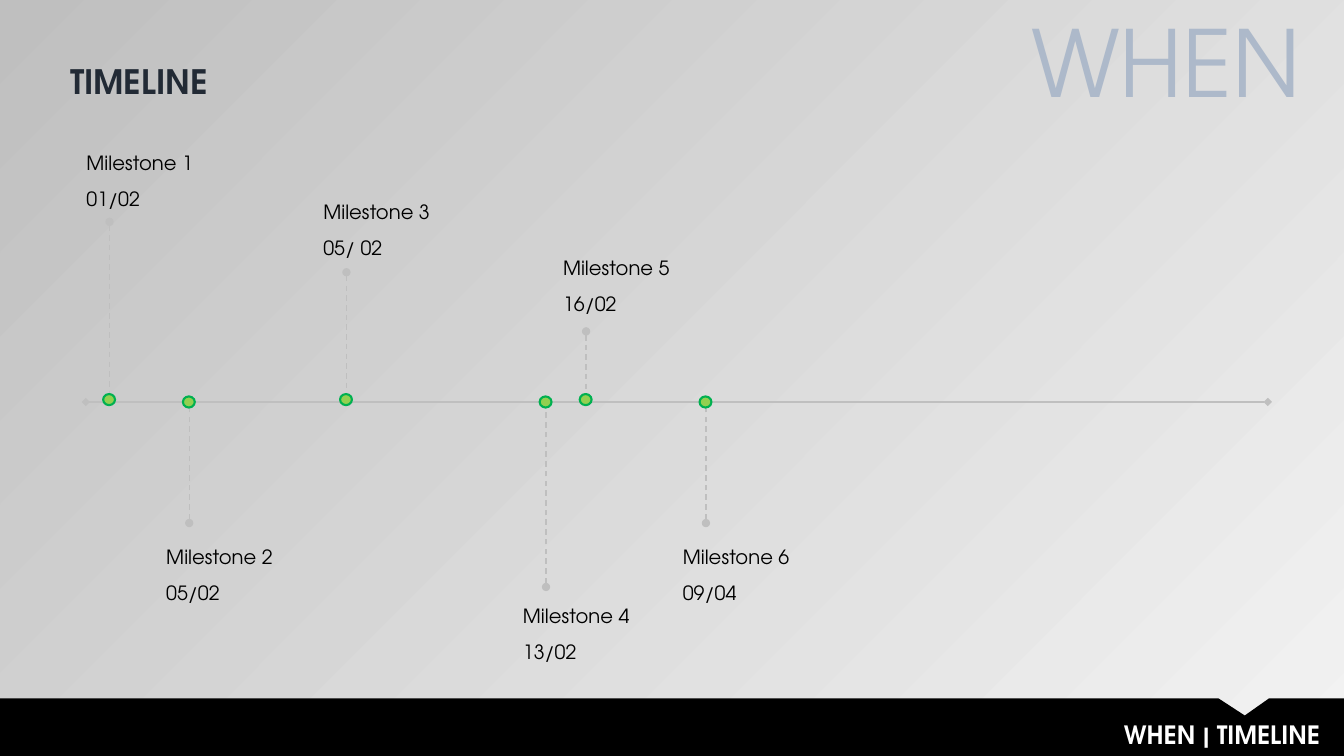
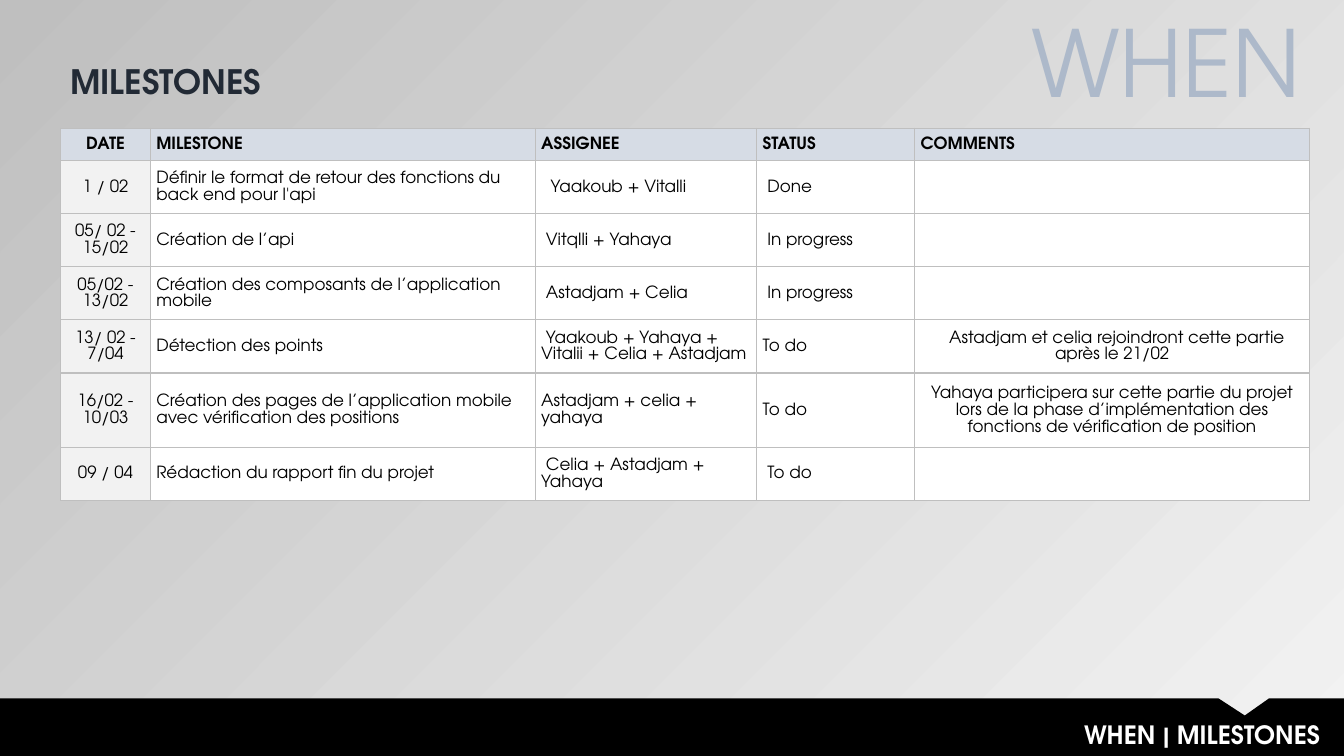
from dataclasses import dataclass

from lxml.etree import SubElement
from pptx import Presentation
from pptx.dml.color import RGBColor as Rgb
from pptx.enum.dml import MSO_LINE_DASH_STYLE as Dash
from pptx.enum.shapes import MSO_CONNECTOR_TYPE as Connector, MSO_SHAPE as Shape
from pptx.enum.text import MSO_ANCHOR as Anchor, MSO_AUTO_SIZE as AutoSize, PP_ALIGN as Align
from pptx.oxml.ns import qn
from pptx.util import Cm, Pt


@dataclass(frozen=True)
class Theme:
    font: str = "TeX Gyre Adventor"
    ink: str = "000000"
    paper: str = "FFFFFF"
    heading: str = "222A35"
    section: str = "ADB9CA"
    rule: str = "BFBFBF"
    pale: str = "F2F2F2"
    table_head: str = "D6DCE5"
    dot: str = "92D050"
    dot_edge: str = "00B050"
    section_size: int = 66
    title_size: int = 24
    footer_size: int = 18
    label_size: int = 14
    table_size: int = 12
    line_spacing: float = 1.07


@dataclass(frozen=True)
class Box:
    left: float
    top: float
    width: float
    height: float

    def frame(self):
        return Cm(self.left), Cm(self.top), Cm(self.width), Cm(self.height)


THEME = Theme()
SECTION = "WHEN"
PAGE_BOX = Box(0, 0, 33.87, 19.05)
FOOTER_BOX = Box(0, 17.6, 33.87, 1.45)
TITLE_BOX = Box(1.52, 1.4, 22.61, 1.27)
SECTION_BOX = Box(23.1, 0, 9.93, 3.05)
TIMELINE_BOX = Box(2.16, 3.63, 29.79, 13.03)
TABLE_BOX = Box(1.53, 3.23, 31.48, 9.38)

AXIS_OFFSET = 6.5
MILESTONES = [
    ("Milestone 1", "01/02", 0.6, 0, 1.96),
    ("Milestone 2", "05/02", 2.61, 9.93, 9.55),
    ("Milestone 3", "05/ 02", 6.57, 1.24, 3.23),
    ("Milestone 4", "13/02", 11.6, 11.42, 11.16),
    ("Milestone 5", "16/02", 12.61, 2.64, 4.72),
    ("Milestone 6", "09/04", 15.63, 9.93, 9.55),
]

COLUMN_WIDTHS = [2.26, 9.7, 5.58, 3.98, 9.96]
ROW_HEIGHTS = [0.81, 1.34, 1.34, 1.34, 1.34, 1.87, 1.34]
SPACE_WIDTH = 0.12
INDENTS = {(1, 2): 2, (1, 3): 1, (2, 2): 1, (2, 3): 1, (3, 2): 1, (3, 3): 1,
           (4, 2): 1, (4, 4): 2, (6, 2): 1, (6, 3): 1}
TABLE_ROWS = [
    ("DATE", "MILESTONE", "ASSIGNEE", "STATUS", "COMMENTS"),
    ("1 / 02", "Définir le format de retour des fonctions du back end pour l'api",
     "Yaakoub + Vitalli", "Done", ""),
    ("05/ 02 - 15/02", "Création de l’api", "Vitqlli + Yahaya", "In progress", ""),
    ("05/02 - 13/02", "Création des composants de l’application mobile",
     "Astadjam + Celia", "In progress", ""),
    ("13/ 02 - 7/04", "Détection des points",
     "Yaakoub + Yahaya + Vitalii + Celia + Astadjam", "To do",
     "Astadjam et celia rejoindront cette partie après le 21/02"),
    ("16/02 - 10/03",
     "Création des pages de l’application mobile avec vérification des positions",
     "Astadjam + celia + yahaya", "To do",
     "Yahaya participera sur cette partie du projet lors de la phase "
     "d’implémentation des fonctions de vérification de position"),
    ("09 / 04", "Rédaction du rapport fin du projet",
     "Celia + Astadjam + Yahaya", "To do", ""),
]


def set_formats(target, formats):
    for name, value in formats.items():
        setattr(target, name, value)


def color(value):
    return Rgb.from_string(value)


def paint(target, value):
    target.fill.solid()
    target.fill.fore_color.rgb = color(value)


def write(para, text, size, ink, bold=False, **formats):
    set_formats(para, formats)
    span = para.add_run()
    span.text = text
    set_formats(span.font, {"name": THEME.font, "size": Pt(size), "bold": bold})
    span.font.color.rgb = color(ink)


def set_frame(frame, anchor):
    set_formats(frame, {"word_wrap": True, "auto_size": AutoSize.NONE,
                        "vertical_anchor": anchor,
                        "margin_left": Cm(0.25), "margin_right": Cm(0.25),
                        "margin_top": Cm(0.13), "margin_bottom": Cm(0.13)})
    return frame


def add_text_box(page, box, anchor):
    return set_frame(page.shapes.add_textbox(*box.frame()).text_frame, anchor)


def add_footer(page, box, text):
    notch = [(30.71, 0), (31.37, 0.43), (31.98, 0)]
    outline = notch + [(box.width, 0), (box.width, box.height), (0, box.height)]
    builder = page.shapes.build_freeform(Cm(box.left), Cm(box.top))
    builder.add_line_segments(
        [(Cm(box.left + x), Cm(box.top + y)) for x, y in outline], close=True)
    band = builder.convert_to_shape()
    band.shadow.inherit = False
    paint(band, THEME.ink)
    band.line.fill.background()
    text_box = Box(box.left + 10.51, box.top + 0.4, 23.01, 1.02)
    frame = add_text_box(page, text_box, Anchor.MIDDLE)
    write(frame.paragraphs[0], text, THEME.footer_size, THEME.paper, True,
          alignment=Align.RIGHT)


def add_page(deck, title):
    page = deck.slides.add_slide(deck.slide_layouts.get_by_name("Title Only"))
    heading = page.shapes.title
    set_formats(heading, dict(zip(("left", "top", "width", "height"), TITLE_BOX.frame())))
    frame = set_frame(heading.text_frame, Anchor.MIDDLE)
    write(frame.paragraphs[0], title, THEME.title_size, THEME.heading, True,
          alignment=Align.LEFT)
    add_footer(page, FOOTER_BOX, f"{SECTION} | {title}")
    section = add_text_box(page, SECTION_BOX, Anchor.MIDDLE)
    write(section.paragraphs[0], SECTION, THEME.section_size, THEME.section,
          alignment=Align.RIGHT)
    return page


def add_rule(page, start, end, width, tip, dash=None):
    rule = page.shapes.add_connector(Connector.STRAIGHT, *map(Cm, start + end))
    set_formats(rule.line, {"width": Pt(width), "dash_style": dash})
    rule.line.color.rgb = color(THEME.rule)
    outline = rule.line._get_or_add_ln()
    for name in ("a:headEnd", "a:tailEnd"):
        SubElement(outline, qn(name), type=tip)
    SubElement(rule._element.spPr, qn("a:effectLst"))


def add_milestone(page, box, name, date, x, label_y, stem_y):
    center = box.left + x
    above = stem_y < AXIS_OFFSET
    dot_y = box.top + AXIS_OFFSET - (0.06 if above else 0)
    label = add_text_box(page, Box(center - 0.83, box.top + label_y, 4.78, 1.6), Anchor.TOP)
    for para, text in zip((label.paragraphs[0], label.add_paragraph()), (name, date)):
        write(para, text, THEME.label_size, THEME.ink,
              line_spacing=THEME.line_spacing, space_after=Pt(8))
    add_rule(page, (center, box.top + stem_y), (center, dot_y), 1, "oval", Dash.DASH)
    dot_box = Box(center - 0.16, dot_y - 0.14, 0.3, 0.28)
    dot = page.shapes.add_shape(Shape.OVAL, *dot_box.frame())
    dot.shadow.inherit = False
    paint(dot, THEME.dot)
    dot.line.color.rgb = color(THEME.dot_edge)
    dot.line.width = Pt(1.5)


def add_timeline(page, box):
    axis_y = box.top + AXIS_OFFSET
    add_rule(page, (box.left, axis_y), (box.left + box.width, axis_y), 1.5, "diamond")
    for milestone in MILESTONES:
        add_milestone(page, box, *milestone)


def add_borders(cell):
    properties = cell._tc.get_or_add_tcPr()
    for index, side in enumerate(("a:lnL", "a:lnR", "a:lnT", "a:lnB")):
        line = properties.makeelement(qn(side), {"w": str(Pt(0.96))})
        fill = SubElement(line, qn("a:solidFill"))
        SubElement(fill, qn("a:srgbClr"), val=THEME.rule)
        properties.insert(index, line)


def fill_cell(cell, text, row, column):
    header = row == 0
    set_formats(cell, {"vertical_anchor": Anchor.MIDDLE,
                       "margin_left": Cm(0.15), "margin_right": Cm(0.15),
                       "margin_top": Cm(0.13), "margin_bottom": Cm(0.13)})
    body = THEME.pale if column == 0 else THEME.paper
    paint(cell, THEME.table_head if header else body)
    add_borders(cell)
    if not text:
        return
    centered = column == 0 or (column == 4 and not header)
    para = cell.text_frame.paragraphs[0]
    write(para, text, THEME.table_size, THEME.ink, header,
          line_spacing=THEME.line_spacing,
          alignment=Align.CENTER if centered else Align.LEFT)
    if (row, column) in INDENTS:
        indent = Cm(SPACE_WIDTH * INDENTS[row, column])
        para._p.get_or_add_pPr().set("indent", str(indent))


def add_milestone_table(page, box):
    table = page.shapes.add_table(
        len(TABLE_ROWS), len(COLUMN_WIDTHS), *box.frame()).table
    set_formats(table, {"first_row": False, "horz_banding": False})
    for column, width in zip(table.columns, COLUMN_WIDTHS):
        column.width = Cm(width)
    for row, height in zip(table.rows, ROW_HEIGHTS):
        row.height = Cm(height)
    for row, texts in enumerate(TABLE_ROWS):
        for column, text in enumerate(texts):
            fill_cell(table.cell(row, column), text, row, column)


def set_background(deck):
    fill = deck.slide_master.background.fill
    fill.gradient()
    fill.gradient_angle = 135
    for stop, value in zip(fill.gradient_stops, (THEME.pale, THEME.rule)):
        stop.color.rgb = color(value)


def main():
    deck = Presentation()
    set_formats(deck, {"slide_width": Cm(PAGE_BOX.width), "slide_height": Cm(PAGE_BOX.height)})
    set_background(deck)
    add_timeline(add_page(deck, "TIMELINE"), TIMELINE_BOX)
    add_milestone_table(add_page(deck, "MILESTONES"), TABLE_BOX)
    deck.save("out.pptx")


if __name__ == "__main__":
    main()
